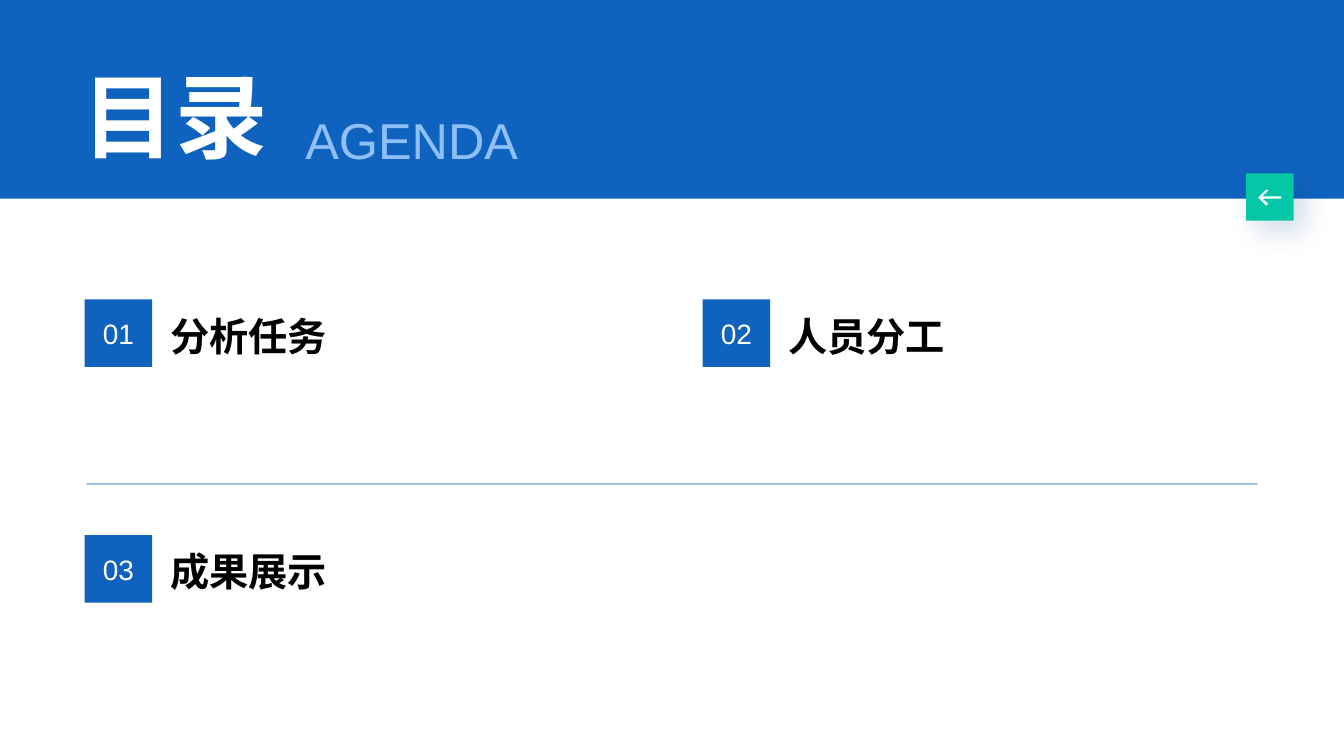
from dataclasses import dataclass

from lxml.etree import SubElement
from pptx import Presentation
from pptx.dml.color import RGBColor
from pptx.enum.shapes import MSO_CONNECTOR, MSO_SHAPE
from pptx.enum.text import MSO_ANCHOR, PP_ALIGN
from pptx.oxml.ns import qn
from pptx.util import Inches, Pt

COLORS = {
    "blue": "0F62BD",
    "sky": "8EBFF6",
    "green": "05C7A7",
    "shadow": "0B498E",
    "white": "FFFFFF",
    "black": "000000",
}
LATIN = "Arial"
CJK = "Noto Sans CJK SC"
ROW_TOP, ROW_STEP = 2.97, 2.34
COL_LEFT, COL_STEP = 0.84, 6.13
BADGE = 0.67
ARROW = [(12.56, 1.88), (12.58, 1.89), (12.52, 1.95), (12.71, 1.95), (12.71, 1.97),
         (12.52, 1.97), (12.58, 2.02), (12.56, 2.04), (12.48, 1.96)]


@dataclass
class AgendaItem:
    number: str
    title: str
    row: int
    col: int


ITEMS = [
    AgendaItem("01", "分析任务", 0, 0),
    AgendaItem("02", "人员分工", 0, 1),
    AgendaItem("03", "成果展示", 1, 0),
]


def rgb(name: str) -> RGBColor:
    return RGBColor.from_string(COLORS[name])


def paint(sp, color: str) -> None:
    sp.shadow.inherit = False
    sp.fill.solid()
    sp.fill.fore_color.rgb = rgb(color)
    sp.line.fill.background()


def add_rect(s, x: float, y: float, w: float, h: float, color: str):
    sp = s.shapes.add_shape(MSO_SHAPE.RECTANGLE, Inches(x), Inches(y), Inches(w), Inches(h))
    paint(sp, color)
    return sp


def write(sp, text: str, size: int, color: str, font: str = LATIN, bold: bool = False,
          align=PP_ALIGN.LEFT, anchor=MSO_ANCHOR.BOTTOM) -> None:
    tf = sp.text_frame
    tf.word_wrap = True
    tf.vertical_anchor = anchor
    p = tf.paragraphs[0]
    p.alignment = align
    r = p.add_run()
    r.text = text
    r.font.size = Pt(size)
    r.font.bold = bold
    r.font.color.rgb = rgb(color)
    r.font.name = font
    SubElement(r.font._element, qn("a:ea"), typeface=CJK)


def add_text(s, x: float, y: float, w: float, h: float, text: str, size: int, color: str,
             font: str = LATIN, bold: bool = False) -> None:
    sp = s.shapes.add_textbox(Inches(x), Inches(y), Inches(w), Inches(h))
    write(sp, text, size, color, font, bold)


def add_header(s) -> None:
    band = add_rect(s, 0, 0, 13.33, 1.97, "blue")
    title = s.shapes.title
    title._element.addprevious(band._element)
    title.left, title.top = Inches(0.72), Inches(0.42)
    title.width, title.height = Inches(3.74), Inches(1.32)
    write(title, "目录", 66, "white", bold=True)
    add_text(s, 2.93, 0.87, 3.74, 0.86, "AGENDA", 36, "sky")


def add_back_button(s) -> None:
    button = add_rect(s, 12.36, 1.72, 0.47, 0.47, "green")
    effects = button._element.spPr.find(qn("a:effectLst"))
    shadow = SubElement(effects, qn("a:outerShdw"), blurRad=str(Pt(20)), dist=str(Pt(10)),
                        dir=str(45 * 60000), algn="tl", rotWithShape="0")
    color = SubElement(shadow, qn("a:srgbClr"), val=COLORS["shadow"])
    SubElement(color, qn("a:alpha"), val="20000")
    start, *rest = [(Inches(x), Inches(y)) for x, y in ARROW]
    builder = s.shapes.build_freeform(*start)
    builder.add_line_segments(rest, close=True)
    paint(builder.convert_to_shape(), "white")


def add_divider(s) -> None:
    line = s.shapes.add_connector(MSO_CONNECTOR.STRAIGHT, Inches(0.86), Inches(4.8),
                                  Inches(12.47), Inches(4.8))
    line.line.width = Pt(1)
    line.line.color.rgb = rgb("blue")
    color = line._element.spPr.find(".//" + qn("a:srgbClr"))
    SubElement(color, qn("a:alpha"), val="50000")
    SubElement(line._element.spPr, qn("a:effectLst"))


def add_item(s, item: AgendaItem) -> None:
    x = COL_LEFT + item.col * COL_STEP
    y = ROW_TOP + item.row * ROW_STEP
    badge = add_rect(s, x, y, BADGE, BADGE, "blue")
    write(badge, item.number, 20, "white", align=PP_ALIGN.CENTER, anchor=MSO_ANCHOR.MIDDLE)
    add_text(s, x + 0.75, y - 0.07, 4.88, 0.71, item.title, 28, "black", CJK, True)


def main() -> None:
    prs = Presentation()
    prs.slide_width, prs.slide_height = Inches(13.33), Inches(7.5)
    s = prs.slides.add_slide(prs.slide_layouts[5])
    add_header(s)
    add_back_button(s)
    add_divider(s)
    for item in ITEMS:
        add_item(s, item)
    prs.save("out.pptx")


if __name__ == "__main__":
    main()
